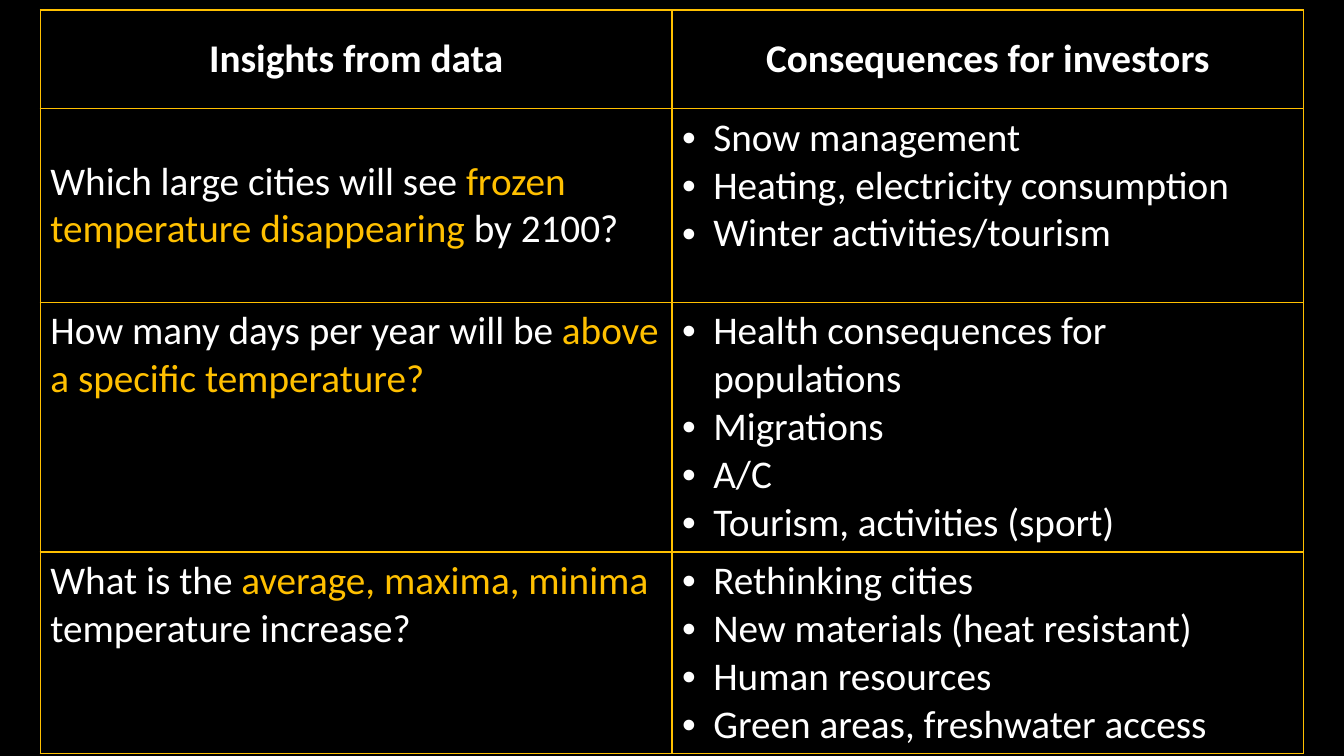
from lxml.etree import SubElement
from pptx import Presentation
from pptx.dml.color import RGBColor
from pptx.enum.text import MSO_ANCHOR, PP_ALIGN
from pptx.oxml.ns import qn
from pptx.util import Inches, Pt

BLACK, WHITE, AMBER = "000000", "FFFFFF", "FFC000"

# Content: a question is a list of (text, colour) runs
HEADINGS = ["Insights from data", "Consequences for investors"]
TOPICS = [
    ([("Which large cities will see ", WHITE),
      ("frozen temperature disappearing", AMBER), (" by 2100?", WHITE)],
     ["Snow management", "Heating, electricity consumption",
      "Winter activities/tourism"]),
    ([("How many days per year will be ", WHITE),
      ("above a specific temperature?", AMBER)],
     ["Health consequences for populations", "Migrations", "A/C",
      "Tourism, activities (sport)"]),
    ([("What is the ", WHITE), ("average, maxima, minima", AMBER),
      (" temperature increase?", WHITE)],
     ["Rethinking cities", "New materials (heat resistant)",
      "Human resources", "Green areas, freshwater access"]),
]


def paint(fill, colour):
    fill.solid()
    fill.fore_color.rgb = RGBColor.from_string(colour)


def add_text(paragraph, text, colour=WHITE, size=28, bold=False, face="Calibri"):
    run = paragraph.add_run()
    run.text = text
    run.font.name, run.font.size, run.font.bold = face, Pt(size), bold
    paint(run.font.fill, colour)


class InsightSlide:
    def __init__(self, deck, background=BLACK, rule=AMBER):
        self.slide = deck.slides.add_slide(deck.slide_layouts[6])
        self.background, self.rule = background, rule
        paint(self.slide.background.fill, background)

    def grid(self, left, top, widths, heights):
        frame = self.slide.shapes.add_table(
            len(heights), len(widths), Inches(left), Inches(top),
            Inches(sum(widths)), Inches(sum(heights)))
        table = frame.table
        table.first_row = table.horz_banding = False
        for column, width in zip(table.columns, widths):
            column.width = Inches(width)
        for row, height in zip(table.rows, heights):
            row.height = Inches(height)
        for cell in table.iter_cells():
            self.borders(cell)
            paint(cell.fill, self.background)
        return table

    def borders(self, cell, width=1):
        properties = cell._tc.get_or_add_tcPr()
        for side in ("a:lnL", "a:lnR", "a:lnT", "a:lnB"):
            line = SubElement(properties, qn(side), w=str(Pt(width)))
            solid = SubElement(line, qn("a:solidFill"))
            SubElement(solid, qn("a:srgbClr"), val=self.rule)

    def heading(self, cell, text):
        cell.vertical_anchor = MSO_ANCHOR.MIDDLE
        paragraph = cell.text_frame.paragraphs[0]
        paragraph.alignment = PP_ALIGN.CENTER
        add_text(paragraph, text, bold=True)

    def question(self, cell, runs, anchor):
        cell.vertical_anchor = anchor
        for text, colour in runs:
            add_text(cell.text_frame.paragraphs[0], text, colour=colour)

    def bullets(self, cell, items, indent=0.31):
        frame = cell.text_frame
        for index, item in enumerate(items):
            paragraph = frame.add_paragraph() if index else frame.paragraphs[0]
            properties = paragraph._p.get_or_add_pPr()
            properties.set("marL", str(Inches(indent)))
            properties.set("indent", str(-Inches(indent)))
            SubElement(properties, qn("a:buFont"), typeface="Arial")
            SubElement(properties, qn("a:buChar"), char="•")
            add_text(paragraph, item)


def main():
    deck = Presentation()
    deck.slide_width, deck.slide_height = Inches(13.33), Inches(7.5)
    page = InsightSlide(deck)
    table = page.grid(0.4, 0.1, [6.265] * 2, [0.98] + [1.92] * len(TOPICS))

    # Header row
    for column, text in enumerate(HEADINGS):
        page.heading(table.cell(0, column), text)

    # One row per topic; the first question is centred vertically
    for row, (question, consequences) in enumerate(TOPICS, start=1):
        anchor = MSO_ANCHOR.MIDDLE if row == 1 else MSO_ANCHOR.TOP
        page.question(table.cell(row, 0), question, anchor)
        page.bullets(table.cell(row, 1), consequences)

    deck.save("out.pptx")


if __name__ == "__main__":
    main()
